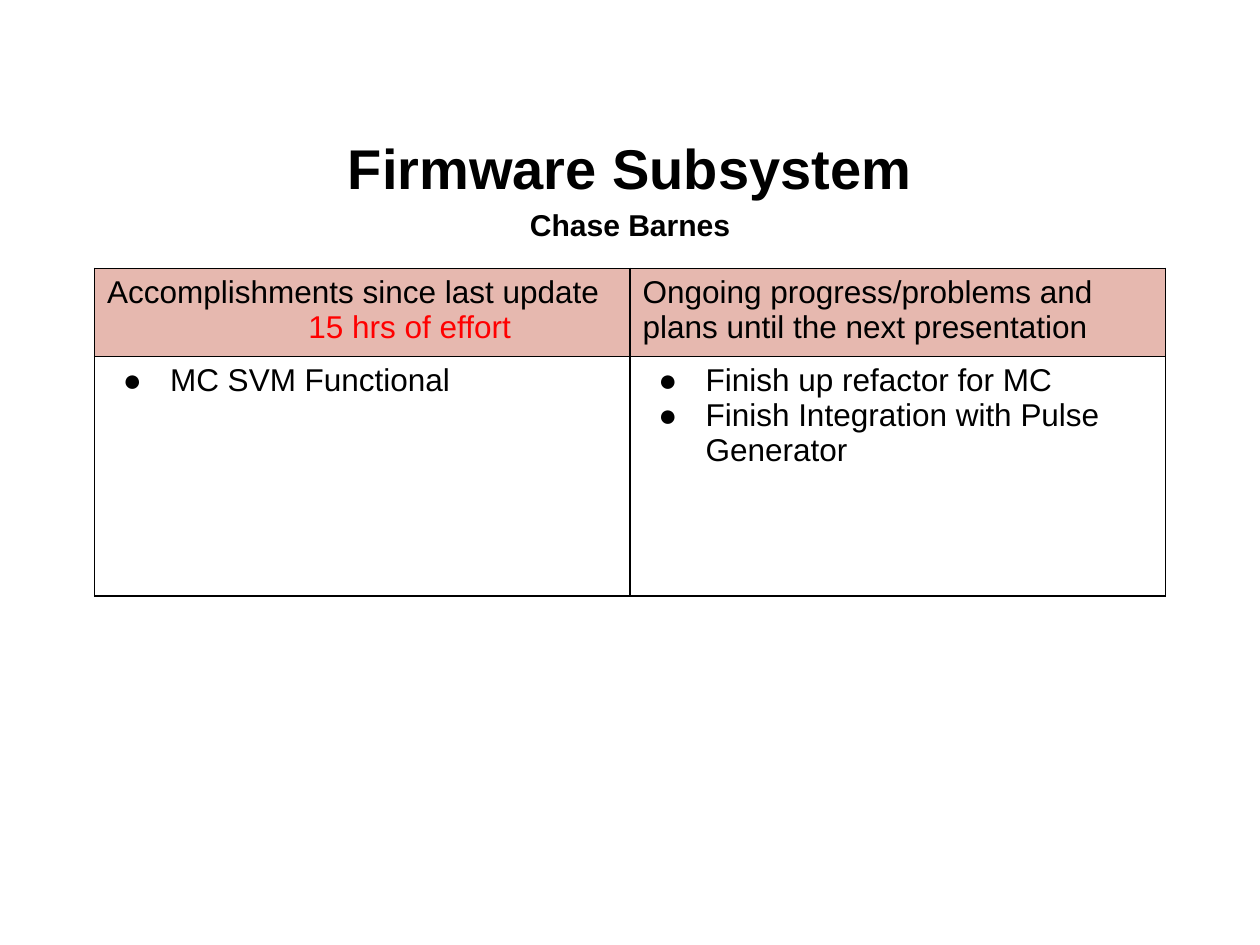
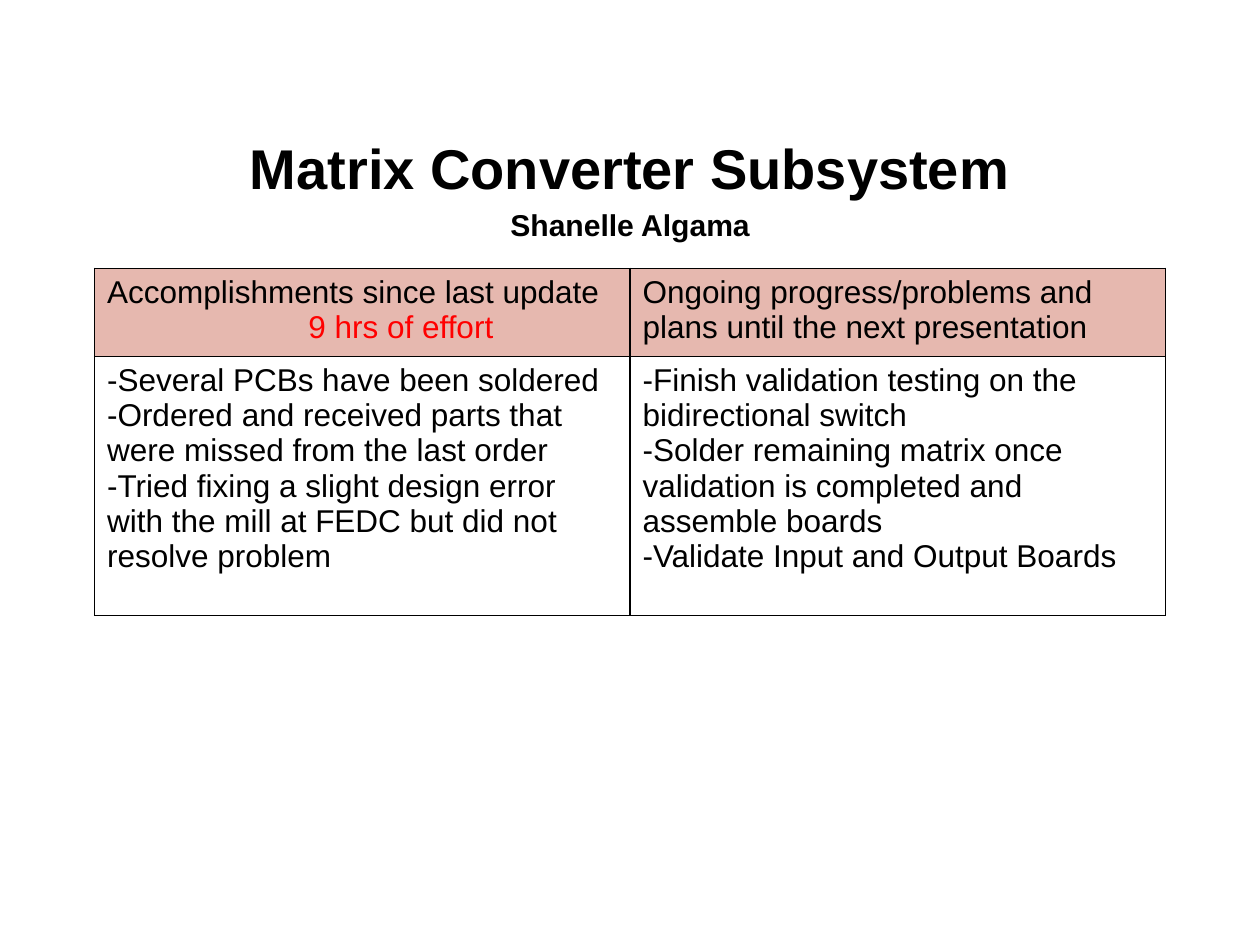
from dataclasses import dataclass

from lxml.etree import SubElement
from pptx import Presentation
from pptx.dml.color import RGBColor
from pptx.enum.text import MSO_ANCHOR, MSO_AUTO_SIZE, PP_ALIGN
from pptx.oxml.ns import qn
from pptx.util import Pt


@dataclass(frozen=True)
class Theme:
    font: str = "Arial"
    ink: str = "000000"
    effort: str = "FF0000"
    header_fill: str = "E6B8AF"
    title_size: float = 32
    presenter_size: float = 17.2
    table_size: float = 18
    border: float = 1


@dataclass(frozen=True)
class Box:
    left: float
    top: float
    width: float
    height: float


@dataclass(frozen=True)
class Update:
    subsystem: str
    presenter: str
    effort: str
    accomplishments: tuple
    plans: tuple
    body_height: float
    bulleted: bool = False


THEME = Theme()
TITLE_BOX = Box(36, 72.72, 648, 63.36)
TABLE_LEFT, TABLE_TOP, TABLE_WIDTH = 54, 153.36, 612
HEADER_HEIGHT = 50.4
EFFORT_INDENT = 115
BULLET_INDENT, BULLET_HANGING = 36, 27
DONE_HEADING = "Accomplishments since last update"
PLANS_HEADING = "Ongoing progress/problems and plans until the next presentation"

UPDATES = [
    Update(
        "Firmware Subsystem", "Chase Barnes", "15 hrs of effort",
        ("MC SVM Functional",),
        ("Finish up refactor for MC", "Finish Integration with Pulse Generator"),
        body_height=136.8, bulleted=True,
    ),
    Update(
        "Matrix Converter Subsystem", "Shanelle Algama", "9 hrs of effort",
        (
            "-Several PCBs have been soldered",
            "-Ordered and received parts that were missed from the last order",
            "-Tried fixing a slight design error with the mill at FEDC but did not resolve problem",
        ),
        (
            "-Finish validation testing on the bidirectional switch",
            "-Solder remaining matrix once validation is completed and assemble boards",
            "-Validate Input and Output Boards",
        ),
        body_height=148,
    ),
]


def set_font(paragraph, size, color=THEME.ink, bold=False):
    font = paragraph.font
    font.name, font.size, font.bold = THEME.font, Pt(size), bold
    font.color.rgb = RGBColor.from_string(color)


def add_solid_fill(parent, color):
    fill = SubElement(parent, qn("a:solidFill"))
    SubElement(fill, qn("a:srgbClr"), val=color)


def set_indent(paragraph, left, first_line=0):
    properties = paragraph._p.get_or_add_pPr()
    properties.set("marL", str(Pt(left)))
    properties.set("indent", str(Pt(first_line)))
    return properties


def add_bullet(paragraph):
    properties = set_indent(paragraph, BULLET_INDENT, -BULLET_HANGING)
    bullet_color = SubElement(properties, qn("a:buClr"))
    SubElement(bullet_color, qn("a:srgbClr"), val=THEME.ink)
    SubElement(properties, qn("a:buFont"), typeface=THEME.font)
    SubElement(properties, qn("a:buChar"), char="●")


def write_lines(text_frame, lines):
    text_frame.text = "\n".join(lines)
    return text_frame.paragraphs


def style_cell(cell, fill=None):
    cell.margin_left = cell.margin_right = Pt(7.2)
    cell.margin_top = cell.margin_bottom = Pt(3.6)
    properties = cell._tc.get_or_add_tcPr()
    for side in ("lnL", "lnR", "lnT", "lnB"):
        line = SubElement(properties, qn(f"a:{side}"), w=str(Pt(THEME.border)))
        add_solid_fill(line, THEME.ink)
    if fill:
        cell.fill.solid()
        cell.fill.fore_color.rgb = RGBColor.from_string(fill)
    else:
        cell.fill.background()


# Title: subsystem name with its presenter underneath
def add_title(slide, box, update):
    title = slide.shapes.title
    title.left, title.top = Pt(box.left), Pt(box.top)
    title.width, title.height = Pt(box.width), Pt(box.height)
    text_frame = title.text_frame
    text_frame.auto_size = MSO_AUTO_SIZE.NONE
    text_frame.word_wrap = True
    text_frame.vertical_anchor = MSO_ANCHOR.MIDDLE
    paragraphs = write_lines(text_frame, (update.subsystem, update.presenter))
    for paragraph, size in zip(paragraphs, (THEME.title_size, THEME.presenter_size)):
        paragraph.alignment = PP_ALIGN.CENTER
        paragraph.line_spacing = 1.15
        set_font(paragraph, size, bold=True)


# Table: work done on the left, work ahead on the right
def add_update_table(slide, box, update):
    frame = slide.shapes.add_table(
        2, 2, Pt(box.left), Pt(box.top), Pt(box.width), Pt(box.height))
    table = frame.table
    table.first_row = table.horz_banding = False
    table.rows[0].height = Pt(HEADER_HEIGHT)
    table.rows[1].height = Pt(box.height - HEADER_HEIGHT)

    columns = (
        ((DONE_HEADING, update.effort), update.accomplishments),
        ((PLANS_HEADING,), update.plans),
    )
    for column, (heading, items) in enumerate(columns):
        # Header cell, with the effort line set in its own colour
        header = table.cell(0, column)
        style_cell(header, THEME.header_fill)
        for index, paragraph in enumerate(write_lines(header.text_frame, heading)):
            if index:
                set_indent(paragraph, EFFORT_INDENT)
            set_font(paragraph, THEME.table_size, THEME.effort if index else THEME.ink)

        # Body cell
        body = table.cell(1, column)
        style_cell(body)
        for paragraph in write_lines(body.text_frame, items):
            if update.bulleted:
                add_bullet(paragraph)
            set_font(paragraph, THEME.table_size)


def add_update_slide(presentation, update):
    slide = presentation.slides.add_slide(presentation.slide_layouts[5])
    add_title(slide, TITLE_BOX, update)
    table_box = Box(TABLE_LEFT, TABLE_TOP, TABLE_WIDTH, HEADER_HEIGHT + update.body_height)
    add_update_table(slide, table_box, update)


def main():
    presentation = Presentation()
    presentation.slide_width, presentation.slide_height = Pt(720), Pt(540)
    for update in UPDATES:
        add_update_slide(presentation, update)
    presentation.save("out.pptx")


if __name__ == "__main__":
    main()
